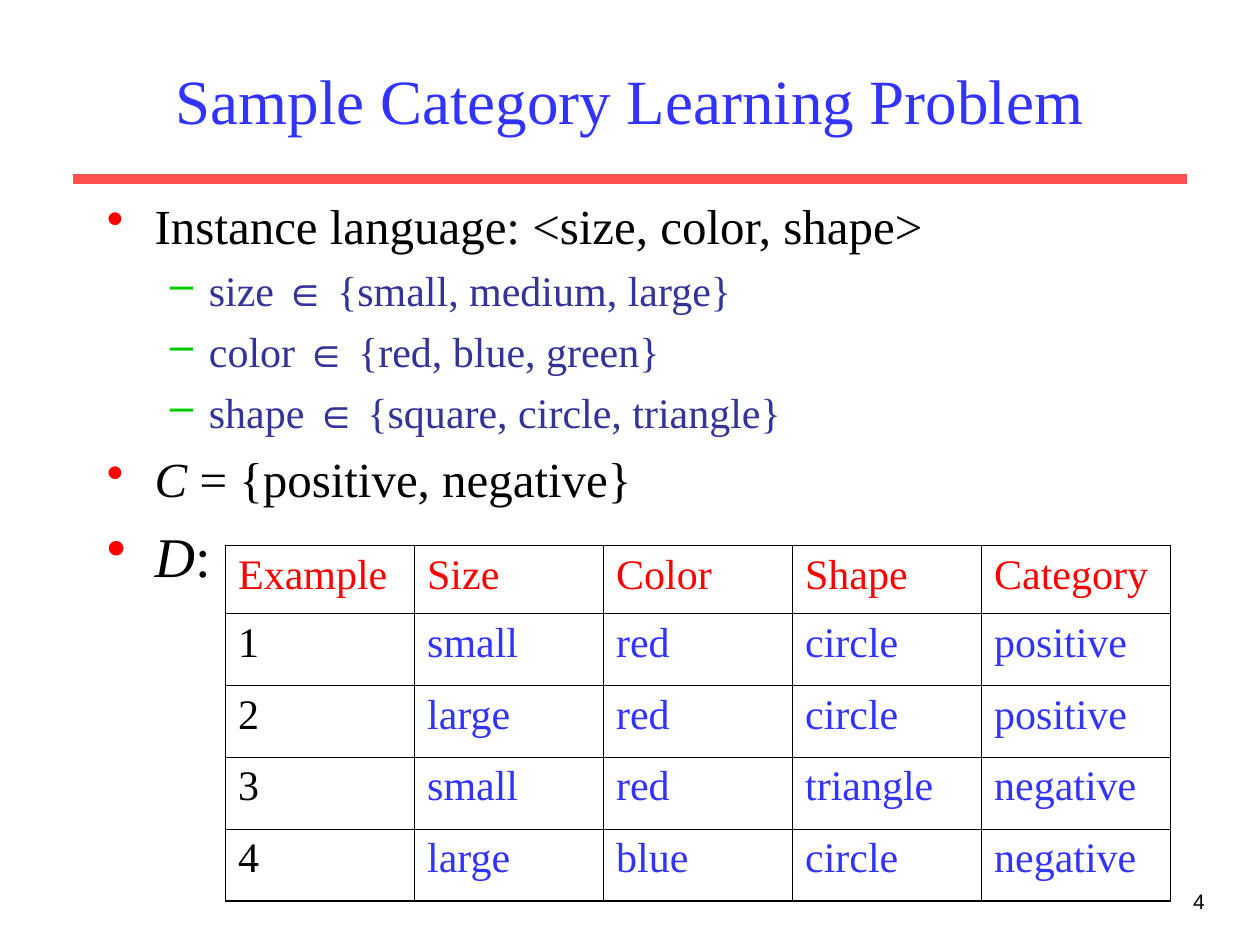
from lxml import etree
from pptx import Presentation, util as u
from pptx.dml.color import RGBColor
from pptx.enum import shapes, text
from pptx.oxml.ns import qn

COLORS = {
    "heading": "3333FF", "rule": "FF5050", "text": "000000", "sub": "333399",
    "bullet": "FF0000", "dash": "00CC00", "header": "FF0000", "value": "3333FF",
    "border": "000000",
}
SERIF, SANS = "Times New Roman", "Arial"

# Bullet character, its colour, text colour, left margin and hanging indent
LEVELS = [
    ("•", "bullet", "text", 0.38, 0.38),
    ("–", "dash", "sub", 0.81, 0.31),
]

# Level, size, space before, spans of (text, extra format)
MEMBER = ("∈", {"name": SANS})
BODY = [
    (0, 28, 7, [("Instance language: <size, color, shape>", {})]),
    (1, 24, 6, [("size ", {}), MEMBER, (" {small, medium, large}", {})]),
    (1, 24, 6, [("color ", {}), MEMBER, (" {red, blue, green}", {})]),
    (1, 24, 6, [("shape ", {}), MEMBER, (" {square, circle, triangle}", {})]),
    (0, 28, 7, [("C ", {"italic": True}), ("= {positive, negative}", {})]),
    (0, 32, 8, [("D", {"italic": True}), (":", {})]),
]

EXAMPLES = [
    ["Example", "Size", "Color", "Shape", "Category"],
    ["1", "small", "red", "circle", "positive"],
    ["2", "large", "red", "circle", "positive"],
    ["3", "small", "red", "triangle", "negative"],
    ["4", "large", "blue", "circle", "negative"],
]


def add_span(para, words, size, color, **extra):
    span = para.add_run()
    span.text = words
    span.font.color.rgb = RGBColor.from_string(COLORS[color])
    for name, value in {"size": u.Pt(size), "name": SERIF, **extra}.items():
        setattr(span.font, name, value)


def add_box(page, left, top, width, height, anchor=text.MSO_ANCHOR.TOP):
    box = page.shapes.add_textbox(*map(u.Inches, (left, top, width, height)))
    frame = box.text_frame
    frame.word_wrap = True
    frame.vertical_anchor = anchor
    return frame


def set_bullet(para, char, color, margin, hanging):
    props = para._p.get_or_add_pPr()
    props.set("marL", str(u.Inches(margin)))
    props.set("indent", str(-u.Inches(hanging)))
    paint = etree.SubElement(props, qn("a:buClr"))
    etree.SubElement(paint, qn("a:srgbClr"), val=COLORS[color])
    etree.SubElement(props, qn("a:buChar"), char=char)


def add_body(page):
    frame = add_box(page, 0.75, 1.5, 8.5, 5.13)
    for index, (level, size, space, spans) in enumerate(BODY):
        para = frame.add_paragraph() if index else frame.paragraphs[0]
        char, bullet_color, text_color, margin, hanging = LEVELS[level]
        para.level = level
        para.space_before = u.Pt(space)
        set_bullet(para, char, bullet_color, margin, hanging)
        for words, extra in spans:
            add_span(para, words, size, text_color, **extra)


def add_rule(page):
    rule = page.shapes.add_connector(
        shapes.MSO_CONNECTOR.STRAIGHT, *map(u.Inches, (0.58, 1.42, 9.42, 1.42)))
    rule.line.color.rgb = RGBColor.from_string(COLORS["rule"])
    rule.line.width = u.Pt(6)
    etree.SubElement(rule._element.spPr, qn("a:effectLst"))


def set_borders(cell, outer):
    """Draw all four sides, heavier on those in outer."""
    props = cell._tc.get_or_add_tcPr()
    for index, side in enumerate("LRTB"):
        width = u.Pt(1.08 if side in outer else 0.45)
        line = etree.Element(qn(f"a:ln{side}"), w=str(width))
        fill = etree.SubElement(line, qn("a:solidFill"))
        etree.SubElement(fill, qn("a:srgbClr"), val=COLORS["border"])
        props.insert(index, line)


def add_examples(page):
    count, last = len(EXAMPLES), len(EXAMPLES[0]) - 1
    table = page.shapes.add_table(
        count, last + 1, *map(u.Inches, (1.79, 4.33, 7.5, 2.81))).table
    table.first_row = table.horz_banding = False
    for column in table.columns:
        column.width = u.Inches(1.5)
    for r, values in enumerate(EXAMPLES):
        table.rows[r].height = u.Inches(0.57 if r else 0.54)
        for c, value in enumerate(values):
            cell = table.cell(r, c)
            cell.fill.background()
            color = "header" if r == 0 else "text" if c == 0 else "value"
            para = cell.text_frame.paragraphs[0]
            para.space_before = u.Pt(6)
            add_span(para, value, 24, color)
            edges = {"L": c == 0, "R": c == last, "T": r == 0, "B": r == count - 1}
            set_borders(cell, [side for side, on in edges.items() if on])


def main():
    deck = Presentation()
    deck.slide_width, deck.slide_height = u.Inches(10), u.Inches(7.5)
    page = deck.slides.add_slide(deck.slide_layouts[6])

    # Rule and page number
    add_rule(page)
    number = add_box(page, 7.58, 7, 2.08, 0.5).paragraphs[0]
    number.alignment = text.PP_ALIGN.RIGHT
    add_span(number, "4", 12, "text", name=SANS)

    # Title
    title = add_box(page, 0.75, 0.25, 8.5, 1.08, text.MSO_ANCHOR.MIDDLE).paragraphs[0]
    title.alignment = text.PP_ALIGN.CENTER
    add_span(title, "Sample Category Learning Problem", 36, "heading")

    # Definitions and training examples
    add_body(page)
    add_examples(page)
    deck.save("out.pptx")


if __name__ == "__main__":
    main()
